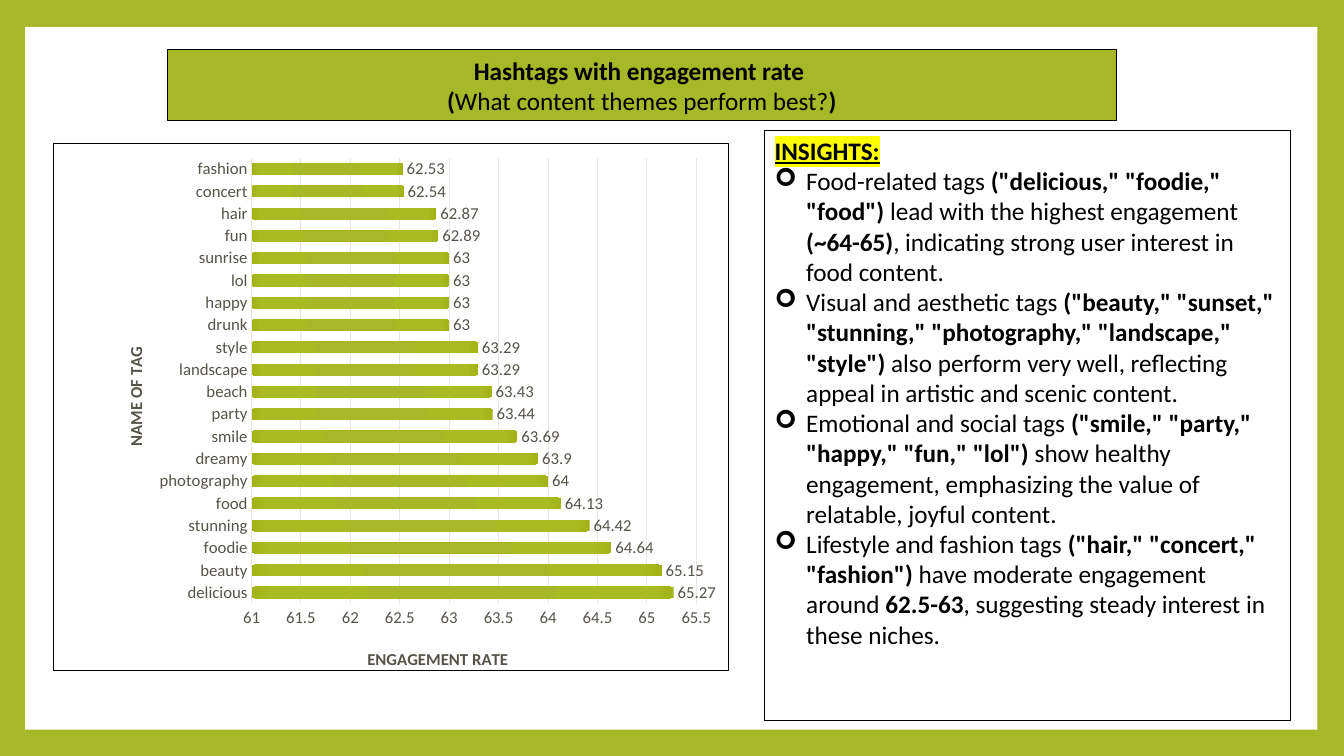
from pptx import Presentation
from pptx.chart.data import CategoryChartData
from pptx.dml.color import RGBColor
from pptx.enum.chart import XL_CHART_TYPE, XL_LABEL_POSITION, XL_TICK_MARK
from pptx.enum.shapes import MSO_SHAPE
from pptx.enum.text import MSO_ANCHOR, PP_ALIGN
from pptx.oxml import parse_xml
from pptx.oxml.ns import nsdecls, qn
from pptx.util import Pt

GREEN = RGBColor(0xA6, 0xB7, 0x27)
WHITE = RGBColor(0xFF, 0xFF, 0xFF)
BLACK = RGBColor(0, 0, 0)
GREY = RGBColor(0x56, 0x53, 0x49)
GRID = RGBColor(0xE7, 0xE6, 0xE3)
YELLOW = RGBColor(0xFF, 0xFF, 0)
BAR_STOPS = ((0, GREEN), (90, RGBColor(0xA9, 0xBB, 0x23)), (100, RGBColor(0xA1, 0xB3, 0x16)))
FONT = "Calibri"
NAMESPACES = nsdecls("c", "a")

ENGAGEMENT = {
    "delicious": 65.27, "beauty": 65.15, "foodie": 64.64, "stunning": 64.42,
    "food": 64.13, "photography": 64, "dreamy": 63.9, "smile": 63.69,
    "party": 63.44, "beach": 63.43, "landscape": 63.29, "style": 63.29,
    "drunk": 63, "happy": 63, "lol": 63, "sunrise": 63,
    "fun": 62.89, "hair": 62.87, "concert": 62.54, "fashion": 62.53,
}

# Regular and bold pieces alternate, starting with regular.
HEADING = (
    ("", "Hashtags with engagement rate "),
    ("", "(", "What content themes perform best?", ")"),
)
INSIGHTS = (
    ("Food-related tags", ' ("delicious," "foodie," "food") ',
     "lead with the highest engagement ", "(~64-65)",
     ", indicating strong user interest in food content."),
    ("Visual and aesthetic tags",
     ' ("beauty," "sunset," "stunning," "photography," "landscape," "style") ',
     "also perform very well, reflecting appeal in artistic and scenic content."),
    ("Emotional and social tags", ' ("smile," "party," "happy," "fun," "lol") ',
     "show healthy engagement, emphasizing the value of relatable, joyful content."),
    ("Lifestyle and fashion tags", ' ("hair," "concert," "fashion") ',
     "have moderate engagement around ", "62.5-63",
     ", suggesting steady interest in these niches."),
)


def style_font(font, size, color):
    font.name = FONT
    font.size = Pt(size)
    font.color.rgb = color


def add_pieces(para, pieces):
    """Add the pieces as runs, every second one bold."""
    for index, piece in enumerate(pieces):
        if piece:
            span = para.add_run()
            span.text = piece
            span.font.bold = index % 2 == 1
    style_font(para.font, 18, BLACK)


def add_bullet(para, indent):
    properties = para._p.get_or_add_pPr()
    properties.set("marL", str(Pt(indent)))
    properties.set("indent", str(-Pt(indent)))
    properties.append(parse_xml(f'<a:buFont {NAMESPACES} typeface="Wingdings"/>'))
    properties.append(parse_xml(f'<a:buChar {NAMESPACES} char="➢"/>'))


def add_outlined_box(page, left, top, width, height, fill):
    box = page.shapes.add_textbox(Pt(left), Pt(top), Pt(width), Pt(height))
    box.fill.solid()
    box.fill.fore_color.rgb = fill
    box.line.color.rgb = BLACK
    box.line.width = Pt(0.75)
    box.text_frame.word_wrap = True
    return box.text_frame


def add_frame(page, left, top, width, height):
    """Green page background with a white panel on it."""
    page.background.fill.solid()
    page.background.fill.fore_color.rgb = GREEN
    panel = page.shapes.add_shape(MSO_SHAPE.RECTANGLE, Pt(left), Pt(top), Pt(width), Pt(height))
    panel.shadow.inherit = False
    panel.fill.solid()
    panel.fill.fore_color.rgb = WHITE
    panel.line.fill.background()


def add_heading(page, left, top, width, height):
    frame = add_outlined_box(page, left, top, width, height, GREEN)
    frame.vertical_anchor = MSO_ANCHOR.MIDDLE
    for index, pieces in enumerate(HEADING):
        para = frame.add_paragraph() if index else frame.paragraphs[0]
        para.alignment = PP_ALIGN.CENTER
        add_pieces(para, pieces)


def add_insights(page, left, top, width, height):
    frame = add_outlined_box(page, left, top, width, height, WHITE)
    label = frame.paragraphs[0]
    add_pieces(label, ("", "INSIGHTS:"))
    span = label.runs[0]
    span.font.underline = True
    span._r.get_or_add_rPr().append(parse_xml(
        f'<a:highlight {NAMESPACES}><a:srgbClr val="{YELLOW}"/></a:highlight>'))
    for pieces in INSIGHTS:
        para = frame.add_paragraph()
        add_bullet(para, 22.5)
        add_pieces(para, pieces)


def manual_layout(**values):
    items = "".join(f'<c:{name} val="{value}"/>' for name, value in values.items())
    return parse_xml(f"<c:layout {NAMESPACES}><c:manualLayout>{items}</c:manualLayout></c:layout>")


def drop_layout(element):
    for layout in element.findall(qn("c:layout")):
        element.remove(layout)


def style_axis(axis, title, x, y):
    axis.major_tick_mark = axis.minor_tick_mark = XL_TICK_MARK.NONE
    style_font(axis.tick_labels.font, 12, GREY)
    para = axis.axis_title.text_frame.paragraphs[0]
    span = para.add_run()
    span.text = title
    style_font(span.font, 12, GREY)
    span.font.bold = True
    element = axis.axis_title._element
    drop_layout(element)
    element.find(qn("c:tx")).addnext(manual_layout(xMode="edge", yMode="edge", x=x, y=y))


def fill_bars(series):
    series.format.fill.solid()
    solid = series._element.spPr.find(qn("a:solidFill"))
    stops = "".join(f'<a:gs pos="{pos * 1000}"><a:srgbClr val="{color}"/></a:gs>'
                    for pos, color in BAR_STOPS)
    solid.getparent().replace(solid, parse_xml(
        f'<a:gradFill {NAMESPACES}><a:gsLst>{stops}</a:gsLst><a:path path="circle">'
        '<a:fillToRect l="100000" t="100000" r="100000" b="100000"/></a:path></a:gradFill>'))


def add_engagement_chart(page, left, top, width, height):
    data = CategoryChartData()
    data.categories = list(ENGAGEMENT)
    data.add_series("Series 1", list(ENGAGEMENT.values()))
    chart = page.shapes.add_chart(XL_CHART_TYPE.BAR_CLUSTERED, Pt(left), Pt(top),
                                  Pt(width), Pt(height), data).chart
    style_font(chart.font, 10, BLACK)
    chart.has_legend = False
    chart.has_title = False

    tags, rate = chart.category_axis, chart.value_axis
    style_axis(tags, "NAME OF TAG", 0.1, 0.38)
    tags.format.line.color.rgb = GRID
    tags.format.line.width = Pt(0.75)
    style_axis(rate, "ENGAGEMENT RATE", 0.46, 0.95)
    rate.minimum_scale, rate.maximum_scale, rate.major_unit = 61, 65.5, 0.5
    rate.format.line.fill.background()
    rate.major_gridlines.format.line.color.rgb = GRID
    rate.major_gridlines.format.line.width = Pt(0.75)

    plot = chart.plots[0]
    plot.gap_width = 100
    plot.vary_by_categories = False
    fill_bars(plot.series[0])
    plot.has_data_labels = True
    labels = plot.data_labels
    labels.show_value = True
    labels.position = XL_LABEL_POSITION.OUTSIDE_END
    style_font(labels.font, 12, GREY)

    space = chart._chartSpace
    area = space.chart.plotArea
    drop_layout(area)
    area.insert(0, manual_layout(layoutTarget="inner", xMode="edge", yMode="edge",
                                 x=0.293, y=0.027, w=0.659, h=0.846))
    space.chart.addnext(parse_xml(
        f'<c:spPr {NAMESPACES}><a:noFill/><a:ln w="{Pt(0.75)}"><a:solidFill>'
        f'<a:srgbClr val="{BLACK}"/></a:solidFill></a:ln></c:spPr>'))


def main():
    deck = Presentation()
    deck.slide_width, deck.slide_height = Pt(960), Pt(540)
    page = deck.slides.add_slide(deck.slide_layouts[6])
    add_frame(page, 18, 19.2, 923, 502)
    add_engagement_chart(page, 38, 102.3, 483, 379.3)
    add_heading(page, 119.5, 35.3, 678, 51)
    add_insights(page, 546.3, 93, 375.7, 422)
    deck.save("out.pptx")


if __name__ == "__main__":
    main()
